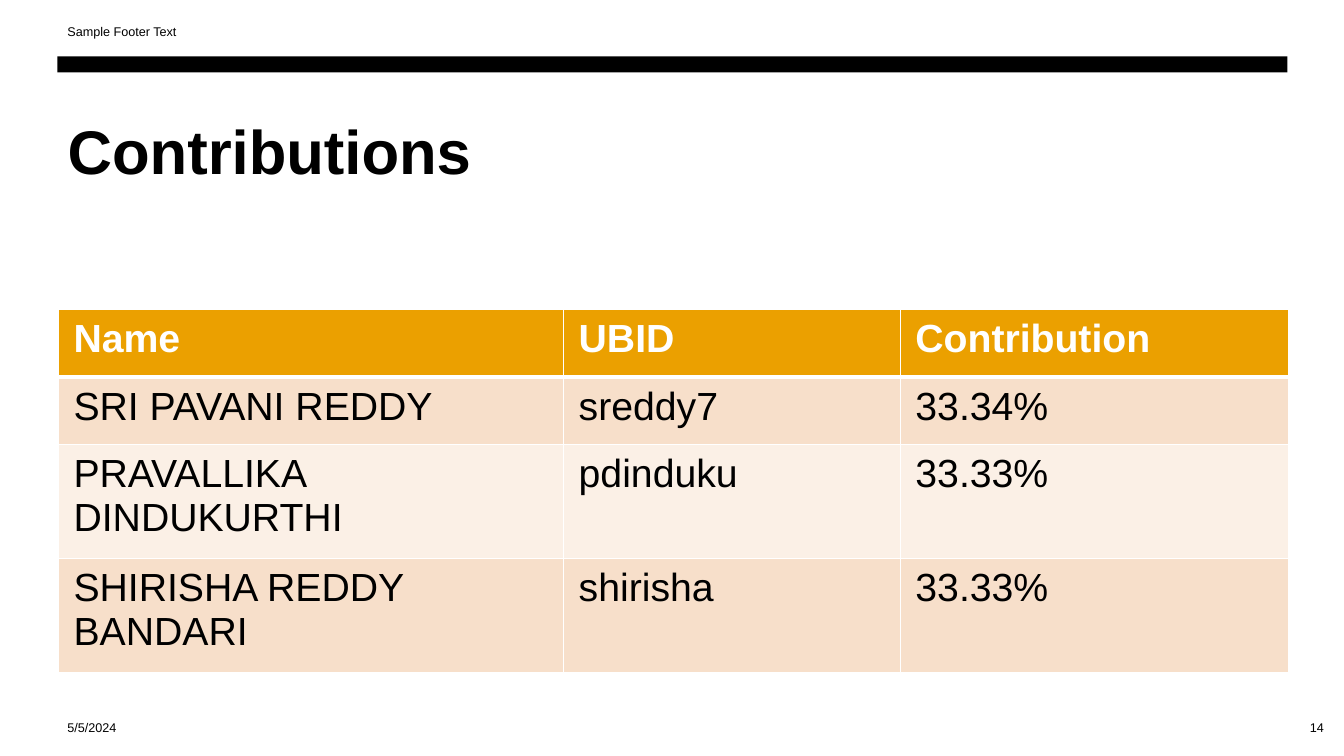
"""Build the Contributions slide with its table of team members."""
from lxml import etree
from pptx import Presentation
from pptx import util as u
from pptx.dml.color import RGBColor
from pptx.enum import shapes, text
from pptx.oxml.ns import qn

PX = 9144
FONT = "Arial"
COLORS = {
    "ink": "000000",
    "paper": "FFFFFF",
    "header": "EBA000",
    "odd": "F7DFCA",
    "even": "FBF0E6",
}
COLUMNS = [501, 334, 385]
HEIGHTS = [67, 67, 113, 113]
ROWS = [
    ("Name", "UBID", "Contribution"),
    ("SRI PAVANI REDDY", "sreddy7", "33.34%"),
    ("PRAVALLIKA DINDUKURTHI", "pdinduku", "33.33%"),
    ("SHIRISHA REDDY BANDARI", "shirisha", "33.33%"),
]


def px(*lengths):
    return [u.Emu(length * PX) for length in lengths]


def color(name):
    return RGBColor.from_string(COLORS[name])


def write(frame, words, size=9, ink="ink", bold=False, align=text.PP_ALIGN.LEFT):
    frame.word_wrap = True
    para = frame.paragraphs[0]
    para.alignment = align
    span = para.add_run()
    span.text = words
    span.font.name = FONT
    span.font.size = u.Pt(size)
    span.font.bold = bold
    span.font.color.rgb = color(ink)


def add_title(page, words):
    title = page.shapes.title
    title.left, title.top, title.width, title.height = px(57, 107, 1220, 160)
    title.text_frame.auto_size = text.MSO_AUTO_SIZE.NONE
    title.text_frame.vertical_anchor = text.MSO_ANCHOR.TOP
    write(title.text_frame, words, size=44, bold=True)


def add_label(page, words, place, **style):
    box = page.shapes.add_textbox(*px(*place))
    box.text_frame.vertical_anchor = text.MSO_ANCHOR.MIDDLE
    write(box.text_frame, words, **style)


def add_bar(page, place):
    bar = page.shapes.add_shape(shapes.MSO_SHAPE.RECTANGLE, *px(*place))
    bar.shadow.inherit = False
    bar.fill.solid()
    bar.fill.fore_color.rgb = color("ink")
    bar.line.fill.background()


def add_borders(cell, widths):
    properties = cell._tc.get_or_add_tcPr()
    for side, width in widths.items():
        line = etree.SubElement(properties, qn(f"a:ln{side}"), w=str(u.Pt(width)))
        fill = etree.SubElement(line, qn("a:solidFill"))
        etree.SubElement(fill, qn("a:srgbClr"), val=COLORS["paper"])


def fill_cell(cell, words, row):
    is_header = row == 0
    cell.margin_left, cell.margin_right = px(15, 15)
    cell.margin_top, cell.margin_bottom = px(8, 8)
    add_borders(cell, {"L": 1, "R": 1, "T": 3 if row == 1 else 1, "B": 3 if is_header else 1})
    cell.fill.solid()
    cell.fill.fore_color.rgb = color("header" if is_header else "odd" if row % 2 else "even")
    write(cell.text_frame, words, size=28, ink="paper" if is_header else "ink", bold=is_header)


def add_members(page, left, top):
    place = px(left, top, sum(COLUMNS), sum(HEIGHTS))
    table = page.shapes.add_table(len(ROWS), len(COLUMNS), *place).table
    for column, width in zip(table.columns, px(*COLUMNS)):
        column.width = width
    for row, height in zip(table.rows, px(*HEIGHTS)):
        row.height = height
    for row, values in enumerate(ROWS):
        for column, words in enumerate(values):
            fill_cell(table.cell(row, column), words, row)


def main():
    deck = Presentation()
    deck.slide_width, deck.slide_height = px(1333, 750)
    page = deck.slides.add_slide(deck.slide_layouts[5])
    add_title(page, "Contributions")
    add_label(page, "Sample Footer Text", (57, 11, 450, 40))
    add_bar(page, (57, 56, 1220, 16))
    add_label(page, "5/5/2024", (57, 702, 300, 40))
    add_label(page, "14", (1253, 702, 70, 40), align=text.PP_ALIGN.RIGHT)
    add_members(page, 58, 307)
    deck.save("out.pptx")


if __name__ == "__main__":
    main()
